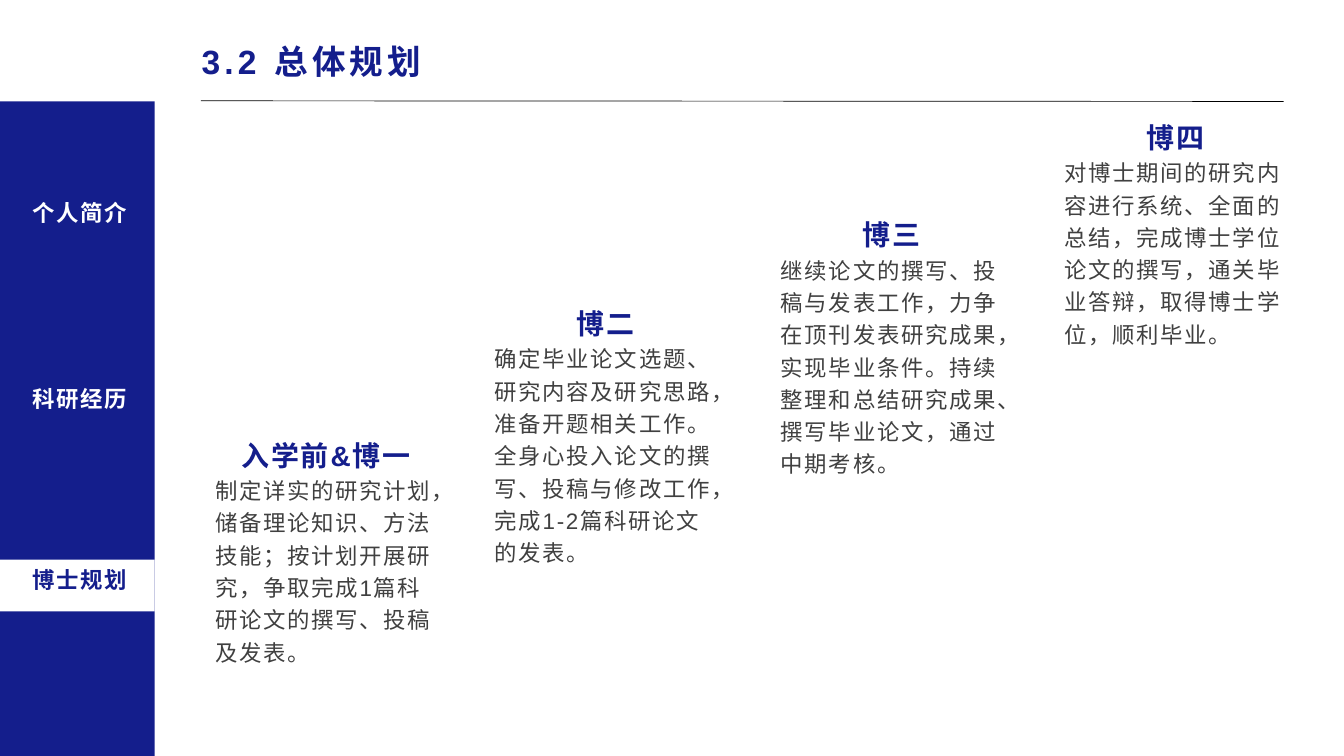
from pptx import Presentation
from pptx.dml.color import RGBColor
from pptx.enum.shapes import MSO_CONNECTOR, MSO_SHAPE
from pptx.enum.text import MSO_ANCHOR, MSO_AUTO_SIZE, PP_ALIGN
from pptx.oxml.ns import qn
from pptx.util import Inches, Pt
from lxml.etree import SubElement

NAVY, WHITE, GREY, BLACK = "141E8C", "FFFFFF", "404040", "000000"
COLS, ROWS = 20, 11.25

# heading, body, left column, top row, height in rows
STAGES = [
    ("入学前&博一", "制定详实的研究计划，储备理论知识、方法技能；按计划开展研究，"
     "争取完成1篇科研论文的撰写、投稿及发表。", 3.2, 6.27, 4.58),
    ("博二", "确定毕业论文选题、研究内容及研究思路，准备开题相关工作。"
     "全身心投入论文的撰写、投稿与修改工作，完成1-2篇科研论文的发表。", 7.36, 4.31, 5.06),
    ("博三", "继续论文的撰写、投稿与发表工作，力争在顶刊发表研究成果，实现毕业条件。"
     "持续整理和总结研究成果、撰写毕业论文，通过中期考核。", 11.62, 2.99, 5.06),
    ("博四", "对博士期间的研究内容进行系统、全面的总结，完成博士学位论文的撰写，"
     "通关毕业答辩，取得博士学位，顺利毕业。", 15.84, 1.54, 4.58),
]
# label, top row, colour
MENU = [("个人简介", 2.93, WHITE), ("科研经历", 5.69, WHITE), ("博士规划", 8.38, NAVY)]


def tint(code):
    return RGBColor.from_string(code)


def write(para, text, size=24, color=NAVY, bold=True, lead=31.7, gap=1.6,
          align=PP_ALIGN.LEFT):
    """Fill a paragraph; lead is the line height and gap the letter spacing, in points."""
    para.alignment = align
    para.line_spacing = Pt(lead)
    para.space_before = Pt(0)
    run = para.add_run()
    run.text = text
    font = run.font
    font.name, font.size, font.bold = "Arial", Pt(size), bold
    font.color.rgb = tint(color)
    run._r.get_or_add_rPr().set("spc", str(round(gap * 100)))


class Page:
    def __init__(self, deck):
        self.deck = deck
        self.slide = deck.slides.add_slide(deck.slide_layouts[5])
        self.shapes = self.slide.shapes

    def grid(self, *cells):
        """Turn alternating column and row counts into slide lengths."""
        units = self.deck.slide_width / COLS, self.deck.slide_height / ROWS
        return [round(n * units[i % 2]) for i, n in enumerate(cells)]

    def frame(self, shape):
        """Strip the margins of a text shape and set it to wrap from the top."""
        frame = shape.text_frame
        frame.word_wrap = True
        frame.auto_size = MSO_AUTO_SIZE.NONE
        frame.vertical_anchor = MSO_ANCHOR.TOP
        frame.margin_left = frame.margin_right = 0
        frame.margin_top = frame.margin_bottom = 0
        return frame

    def title(self, text, *box):
        shape = self.shapes.title
        shape.left, shape.top, shape.width, shape.height = self.grid(*box)
        write(self.frame(shape).paragraphs[0], text, size=36, lead=43.2, gap=4.5)

    def text(self, *box):
        return self.frame(self.shapes.add_textbox(*self.grid(*box)))

    def block(self, color, *box):
        shape = self.shapes.add_shape(MSO_SHAPE.RECTANGLE, *self.grid(*box))
        shape.shadow.inherit = False
        shape.fill.solid()
        shape.fill.fore_color.rgb = tint(color)
        shape.line.fill.background()

    def rule(self, *ends):
        line = self.shapes.add_connector(MSO_CONNECTOR.STRAIGHT, *self.grid(*ends))
        line.line.color.rgb = tint(BLACK)
        line.line.width = Pt(0.75)
        SubElement(line._element.spPr, qn("a:effectLst"))

    def stage(self, head, body, left, top, height):
        frame = self.text(left, top, 3.3, height)
        write(frame.paragraphs[0], head, size=30, lead=54, gap=1.8,
              align=PP_ALIGN.CENTER)
        write(frame.add_paragraph(), body, color=GREY, bold=False, lead=34.6, gap=1.8)

    def label(self, text, top, color):
        frame = self.text(0.29, top, 1.79, 0.62)
        write(frame.paragraphs[0], text, color=color, align=PP_ALIGN.CENTER)


def main():
    deck = Presentation()
    deck.slide_width, deck.slide_height = Inches(COLS), Inches(ROWS)
    page = Page(deck)
    page.rule(2.99, 1.5, 19.1, 1.51)
    page.title("3.2 总体规划", 3, 0.61, 17, 0.78)
    for stage in STAGES:
        page.stage(*stage)
    page.block(NAVY, 0, 1.51, 2.3, ROWS - 1.51)
    page.block(WHITE, 0, 8.33, 2.3, 0.77)
    for item in MENU:
        page.label(*item)
    deck.save("out.pptx")


if __name__ == "__main__":
    main()
